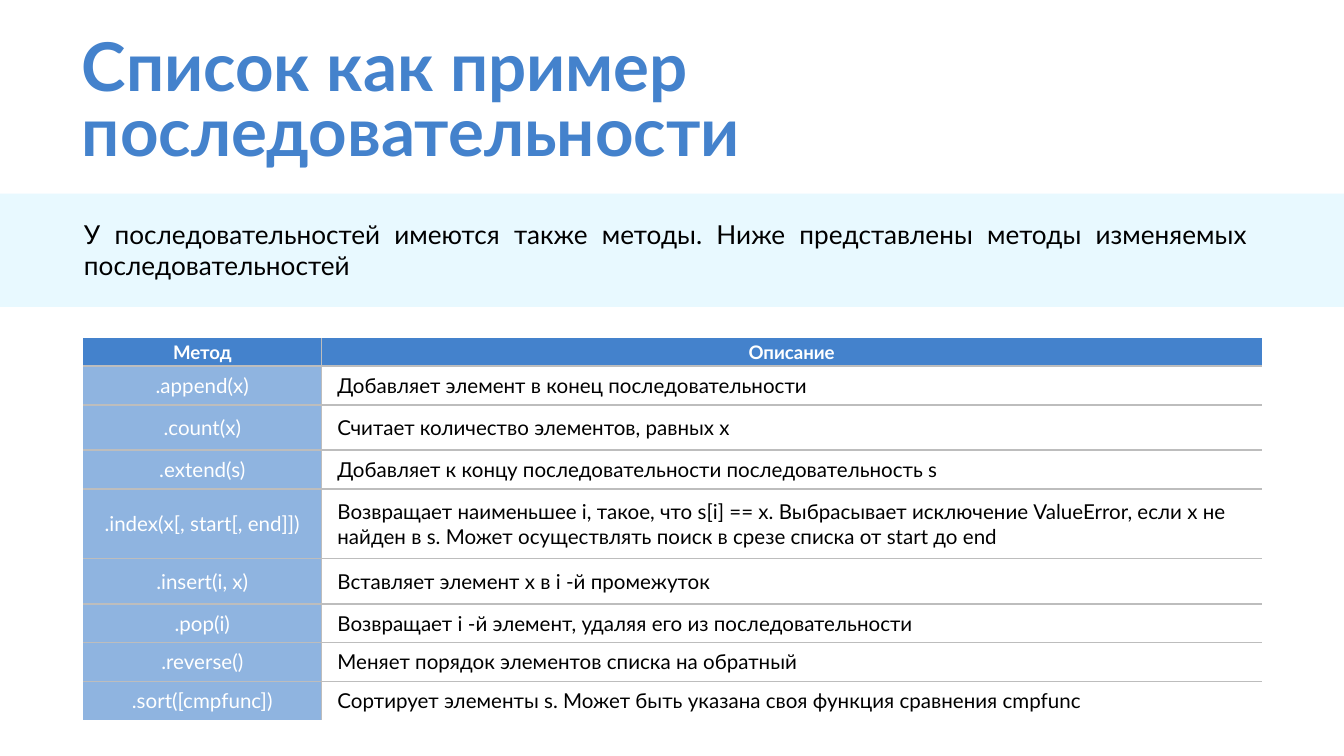
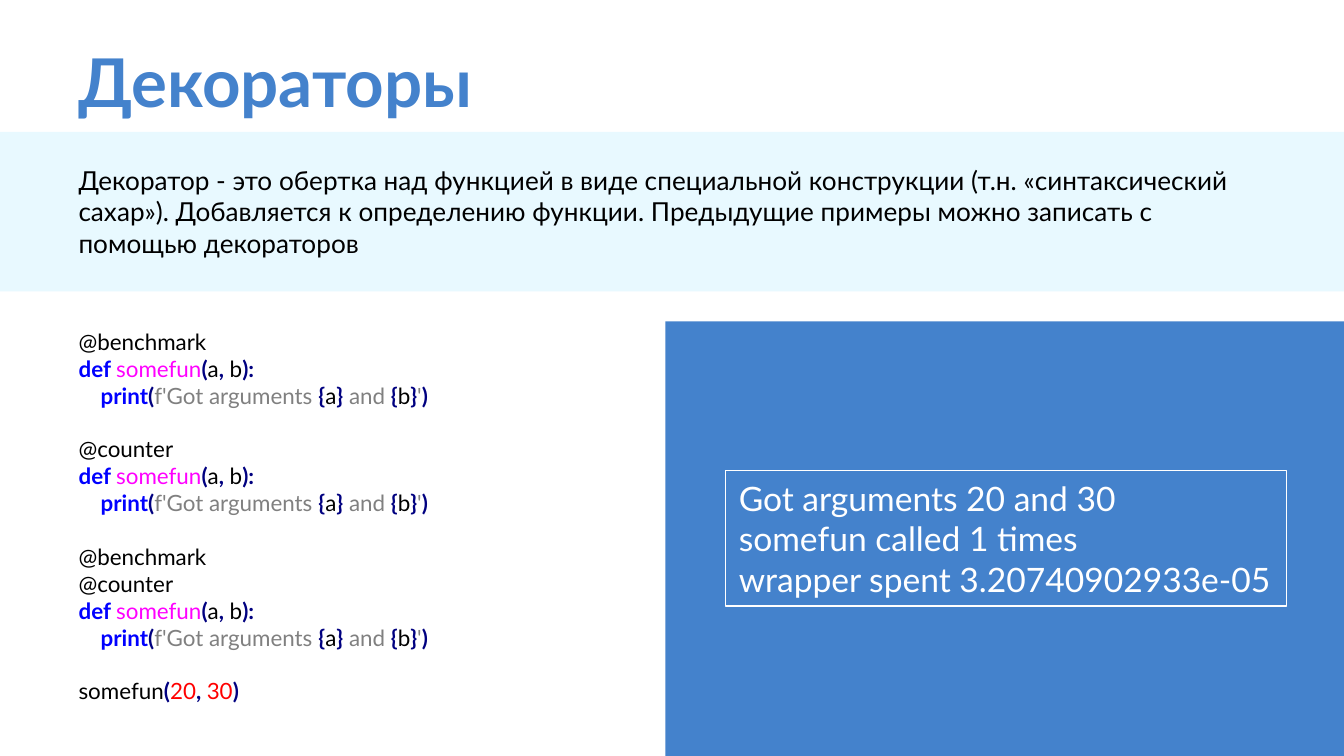
from lxml.etree import SubElement
from pptx import Presentation
from pptx.dml.color import RGBColor
from pptx.enum.shapes import MSO_SHAPE
from pptx.enum.text import MSO_ANCHOR, MSO_AUTO_SIZE, PP_ALIGN
from pptx.oxml.ns import qn
from pptx.util import Pt

# Shared style
FONT = "Lato"
BLUE = RGBColor(0x44, 0x82, 0xCC)
LIGHT_BLUE = RGBColor(0x8F, 0xB4, 0xE0)
PALE = RGBColor(0xE8, 0xF9, 0xFF)
WHITE = RGBColor(0xFF, 0xFF, 0xFF)
BLACK = RGBColor(0, 0, 0)
BORDER = RGBColor(0xBD, 0xBD, 0xBD)
SLIDE_WIDTH, SLIDE_HEIGHT = 720, 405

# Code colours
KEYWORD = RGBColor(0, 0, 0xFF)
FUNCTION = RGBColor(0xFF, 0, 0xFF)
PUNCTUATION = RGBColor(0, 0, 0x80)
STRING = RGBColor(0x80, 0x80, 0x80)
NUMBER = RGBColor(0xFF, 0, 0)
BOLD_COLORS = (KEYWORD, PUNCTUATION)
CODE_LINE, CODE_INDENT = 14.4, 11.8

# Methods table: method, description, row height
HEADER = ("Метод", "Описание", 15)
METHODS = [
    (".append(x)", "Добавляет элемент в конец последовательности", 20.8),
    (".count(x)", "Считает количество элементов, равных x", 24.2),
    (".extend(s)", "Добавляет к концу последовательности последовательность s", 20.8),
    (".index(x[, start[, end]])",
     "Возвращает наименьшее i, такое, что s[i] == x. Выбрасывает исключение ValueError, "
     "если x не найден в s. Может осуществлять поиск в срезе списка от start до end", 37.4),
    (".insert(i, x)", "Вставляет элемент x в i -й промежуток", 24.2),
    (".pop(i)", "Возвращает i -й элемент, удаляя его из последовательности", 20.8),
    (".reverse()", "Меняет порядок элементов списка на обратный", 20.8),
    (".sort([cmpfunc])",
     "Сортирует элементы s. Может быть указана своя функция сравнения cmpfunc", 20.8),
]
COLUMN_WIDTHS = (127.6, 503.8)

# Code listing: blocks of lines, each line made of coloured tokens
BENCHMARK = [("@benchmark", BLACK)]
COUNTER = [("@counter", BLACK)]
DEFINITION = [
    [("def ", KEYWORD), ("somefun", FUNCTION), ("(", PUNCTUATION), ("a", BLACK),
     (",", PUNCTUATION), (" b", BLACK), ("):", PUNCTUATION)],
    [("print", KEYWORD), ("(", PUNCTUATION), ("f'Got arguments ", STRING),
     ("{", PUNCTUATION), ("a", BLACK), ("}", PUNCTUATION), (" and ", STRING),
     ("{", PUNCTUATION), ("b", BLACK), ("}", PUNCTUATION), ("'", STRING), (")", PUNCTUATION)],
]
CALL = [("somefun", BLACK), ("(", PUNCTUATION), ("20", NUMBER), (", ", PUNCTUATION),
        ("30", NUMBER), (")", PUNCTUATION)]
CODE_BLOCKS = [
    [BENCHMARK, *DEFINITION],
    [COUNTER, *DEFINITION],
    [BENCHMARK, COUNTER, *DEFINITION],
    [CALL],
]


def points(*values):
    return [Pt(value) for value in values]


def format_run(run, size, color, bold=False):
    run.font.name = FONT
    run.font.size = Pt(size)
    run.font.bold = bold
    run.font.color.rgb = color


def format_text(text_frame, size, color, bold=False, align=PP_ALIGN.LEFT):
    for paragraph in text_frame.paragraphs:
        paragraph.alignment = align
        for run in paragraph.runs:
            format_run(run, size, color, bold)


def set_indent(paragraph, indent):
    properties = paragraph._p.get_or_add_pPr()
    properties.set("marL", str(Pt(indent)))
    properties.set("indent", "0")


def add_rectangle(slide, box, fill=None, line=None):
    shape = slide.shapes.add_shape(MSO_SHAPE.RECTANGLE, *points(*box))
    shape.shadow.inherit = False
    if fill is None:
        shape.fill.background()
    else:
        shape.fill.solid()
        shape.fill.fore_color.rgb = fill
    if line is None:
        shape.line.fill.background()
    else:
        shape.line.color.rgb = line
        shape.line.width = Pt(0.75)
    return shape


def add_text_box(slide, box):
    text_frame = slide.shapes.add_textbox(*points(*box)).text_frame
    text_frame.word_wrap = True
    return text_frame


def add_title(slide, text, box, line_spacing=1.0):
    text_frame = add_text_box(slide, box)
    text_frame.margin_top = text_frame.margin_bottom = Pt(7.2)
    text_frame.text = text
    text_frame.paragraphs[0].line_spacing = line_spacing
    format_text(text_frame, 36, BLUE, bold=True)


def add_intro(slide, text, band_top, band_height, box, align=PP_ALIGN.LEFT):
    add_rectangle(slide, (0, band_top, SLIDE_WIDTH, band_height), PALE)
    text_frame = add_text_box(slide, box)
    text_frame.auto_size = MSO_AUTO_SIZE.SHAPE_TO_FIT_TEXT
    text_frame.text = text
    format_text(text_frame, 14, BLACK, align=align)


def set_borders(cell, visible_sides):
    properties = cell._tc.get_or_add_tcPr()
    for side in "LRTB":
        line = SubElement(properties, qn(f"a:ln{side}"), w=str(Pt(1)))
        if side in visible_sides:
            fill = SubElement(line, qn("a:solidFill"))
            SubElement(fill, qn("a:srgbClr"), val=str(BORDER))
        else:
            SubElement(line, qn("a:noFill"))


def format_cell(cell, text, is_header, is_method):
    cell.fill.solid()
    cell.fill.fore_color.rgb = BLUE if is_header else LIGHT_BLUE if is_method else WHITE
    cell.vertical_anchor = MSO_ANCHOR.MIDDLE
    cell.margin_left = cell.margin_right = Pt(4.3 if is_header else 1.4)
    cell.margin_top = cell.margin_bottom = Pt(0 if is_header else 1.4)
    cell.text_frame.text = text
    centred = is_header or is_method
    format_text(cell.text_frame, 10 if is_header else 11, WHITE if centred else BLACK,
                is_header, PP_ALIGN.CENTER if centred else PP_ALIGN.LEFT)
    if not centred:
        set_indent(cell.text_frame.paragraphs[0], 7.2)


def add_methods_table(slide, left, top):
    rows = [HEADER, *METHODS]
    size = (sum(COLUMN_WIDTHS), sum(row[2] for row in rows))
    table = slide.shapes.add_table(len(rows), 2, *points(left, top, *size)).table
    table.horz_banding = False
    for column, width in zip(table.columns, COLUMN_WIDTHS):
        column.width = Pt(width)
    for row_index, (method, description, height) in enumerate(rows):
        table.rows[row_index].height = Pt(height)
        # Only the inner grid lines show
        sides = "T" if row_index else ""
        sides += "B" if row_index < len(rows) - 1 else ""
        for column_index, text in enumerate((method, description)):
            cell = table.cell(row_index, column_index)
            set_borders(cell, sides + "RL"[column_index])
            format_cell(cell, text, row_index == 0, column_index == 0)


def add_code(slide, box):
    text_frame = add_text_box(slide, box)
    text_frame.auto_size = MSO_AUTO_SIZE.SHAPE_TO_FIT_TEXT
    paragraph = text_frame.paragraphs[0]
    for block_index, block in enumerate(CODE_BLOCKS):
        for line_index, tokens in enumerate(block):
            if block_index or line_index:
                paragraph = text_frame.add_paragraph()
            if block_index and line_index == 0:
                paragraph.space_before = Pt(CODE_LINE)
            if tokens is DEFINITION[1]:
                set_indent(paragraph, CODE_INDENT)
            for text, color in tokens:
                run = paragraph.add_run()
                run.text = text
                format_run(run, 12, color, color in BOLD_COLORS)


def add_output(slide, text, box):
    text_frame = add_rectangle(slide, box, line=WHITE).text_frame
    text_frame.word_wrap = False
    text_frame.text = text
    format_text(text_frame, 18, WHITE)


def build_list_slide(slide):
    add_methods_table(slide, 44.6, 181.2)
    add_intro(slide,
              "У последовательностей имеются также методы. Ниже представлены методы "
              "изменяемых последовательностей",
              103.8, 60.6, (37.9, 113.5, 637.6, 41.2), PP_ALIGN.JUSTIFY)
    add_title(slide, "Список как пример последовательности", (36.8, 14.4, 683.2, 83.5), 0.8)


def build_decorator_slide(slide):
    panel_left, panel_top = 356.5, 172.2
    add_rectangle(slide, (panel_left, panel_top, 365.5, SLIDE_HEIGHT - panel_top), BLUE)
    add_title(slide, "Декораторы", (35, 14.4, 651.6, 54.7))
    add_intro(slide,
              "Декоратор - это обертка над функцией в виде специальной конструкции "
              "(т.н. «синтаксический сахар»). Добавляется к определению функции. "
              "Предыдущие примеры можно записать с помощью декораторов",
              70.7, 85.5, (35, 84.4, 643, 58.2))
    add_code(slide, (35, panel_top, 332.6, 216))
    add_output(slide,
               "Got arguments 20 and 30\nsomefun called 1 times\nwrapper spent 3.20740902933e-05",
               (388.7, 252, 300.4, 72.7))


def main():
    presentation = Presentation()
    presentation.slide_width = Pt(SLIDE_WIDTH)
    presentation.slide_height = Pt(SLIDE_HEIGHT)
    for build in (build_list_slide, build_decorator_slide):
        build(presentation.slides.add_slide(presentation.slide_layouts[6]))
    presentation.save("out.pptx")


if __name__ == "__main__":
    main()
